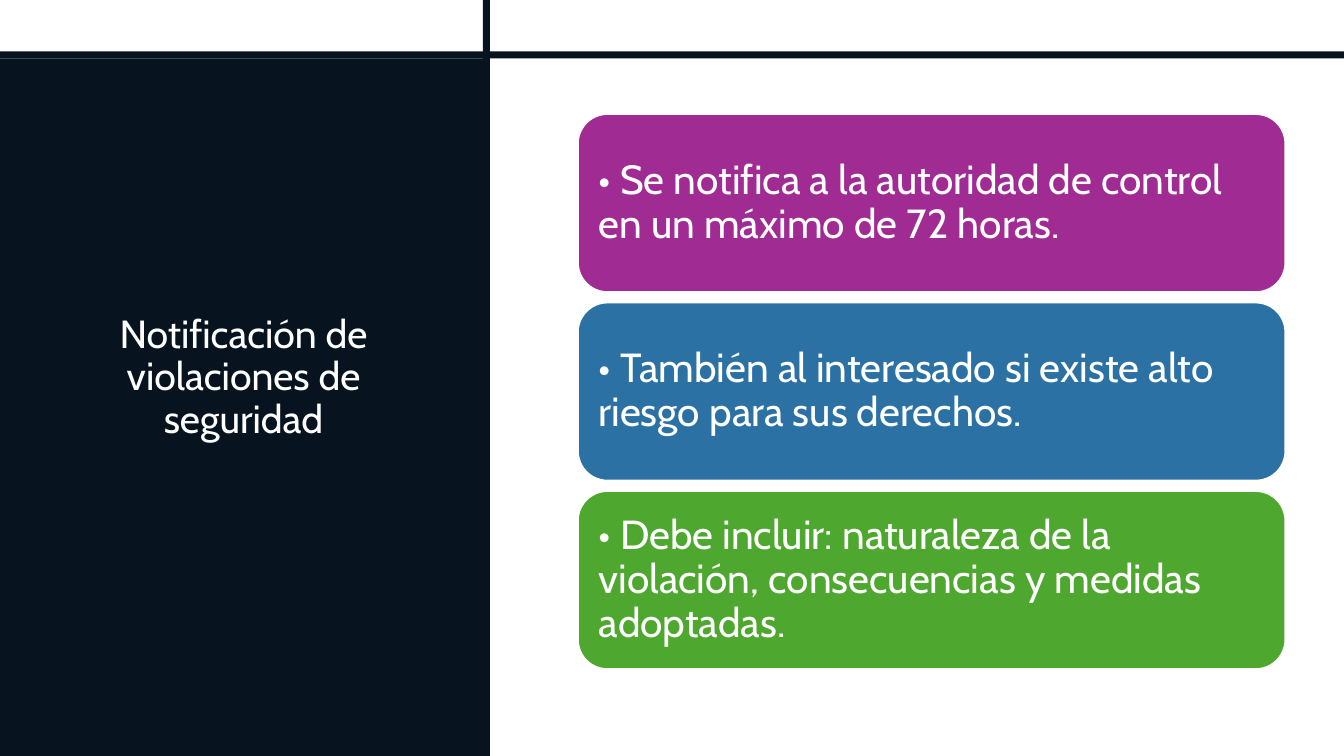
from dataclasses import dataclass

from pptx import Presentation
from pptx.dml.color import RGBColor
from pptx.enum.shapes import MSO_SHAPE
from pptx.enum.text import MSO_ANCHOR, MSO_AUTO_SIZE, PP_ALIGN
from pptx.shapes.autoshape import Shape
from pptx.slide import Slide
from pptx.text.text import TextFrame
from pptx.util import Emu, Pt

EMU_PER_PX = 9144
PAGE_WIDTH, PAGE_HEIGHT = 1333, 750
NAVY, WHITE = "071420", "FFFFFF"
FONT = "Cabin"
CARD_LEFT, CARD_TOP, CARD_WIDTH, CARD_HEIGHT = 573, 113, 702, 177
CARD_STEP = 187


@dataclass(frozen=True)
class Area:
    left: int
    top: int
    width: int
    height: int


@dataclass(frozen=True)
class Card:
    text: str
    fill: str


PANEL = Area(0, 58, 486, 692)
VERTICAL_BAR = Area(479, 0, 7, PAGE_HEIGHT)
HORIZONTAL_BAR = Area(0, 51, PAGE_WIDTH, 7)
TITLE_AREA = Area(66, 84, 351, 582)

CARDS = [
    Card("• Se notifica a la autoridad de control en un máximo de 72 horas.", "A02B93"),
    Card("• También al interesado si existe alto riesgo para sus derechos.", "2C71A4"),
    Card("• Debe incluir: naturaleza de la violación, consecuencias y medidas adoptadas.", "4EA72E"),
]


def px(length: int) -> Emu:
    return Emu(length * EMU_PER_PX)


def color(value: str) -> RGBColor:
    return RGBColor.from_string(value)


def write_text(frame: TextFrame, text: str, *, size: int, align: PP_ALIGN, inset: int) -> None:
    frame.word_wrap = True
    frame.auto_size = MSO_AUTO_SIZE.NONE
    frame.vertical_anchor = MSO_ANCHOR.MIDDLE
    frame.margin_left = frame.margin_right = px(inset)
    frame.margin_top = frame.margin_bottom = px(inset)
    para = frame.paragraphs[0]
    para.alignment = align
    para.line_spacing = 0.9
    span = para.add_run()
    span.text = text
    span.font.name = FONT
    span.font.size = Pt(size)
    span.font.color.rgb = color(WHITE)


def add_box(page: Slide, area: Area, fill: str, kind: MSO_SHAPE = MSO_SHAPE.RECTANGLE) -> Shape:
    box = page.shapes.add_shape(
        kind, px(area.left), px(area.top), px(area.width), px(area.height)
    )
    box.shadow.inherit = False
    box.fill.solid()
    box.fill.fore_color.rgb = color(fill)
    box.line.fill.background()
    return box


def add_title(page: Slide, text: str, area: Area) -> None:
    title = page.shapes.title
    title.left, title.top = px(area.left), px(area.top)
    title.width, title.height = px(area.width), px(area.height)
    write_text(title.text_frame, text, size=28, align=PP_ALIGN.CENTER, inset=10)
    page.shapes._spTree.append(title._element)


def add_card(page: Slide, card: Card, position: int) -> None:
    area = Area(CARD_LEFT, CARD_TOP + position * CARD_STEP, CARD_WIDTH, CARD_HEIGHT)
    box = add_box(page, area, card.fill, MSO_SHAPE.ROUNDED_RECTANGLE)
    box.line.color.rgb = color(WHITE)
    box.line.width = Pt(1.5)
    write_text(box.text_frame, card.text, size=29, align=PP_ALIGN.LEFT, inset=12)


def main() -> None:
    deck = Presentation()
    deck.slide_width, deck.slide_height = px(PAGE_WIDTH), px(PAGE_HEIGHT)
    page = deck.slides.add_slide(deck.slide_layouts[5])
    add_box(page, PANEL, NAVY)
    add_title(page, "Notificación de violaciones de seguridad", TITLE_AREA)
    for bar in (VERTICAL_BAR, HORIZONTAL_BAR):
        add_box(page, bar, NAVY)
    for position, card in enumerate(CARDS):
        add_card(page, card, position)
    deck.save("out.pptx")


if __name__ == "__main__":
    main()
